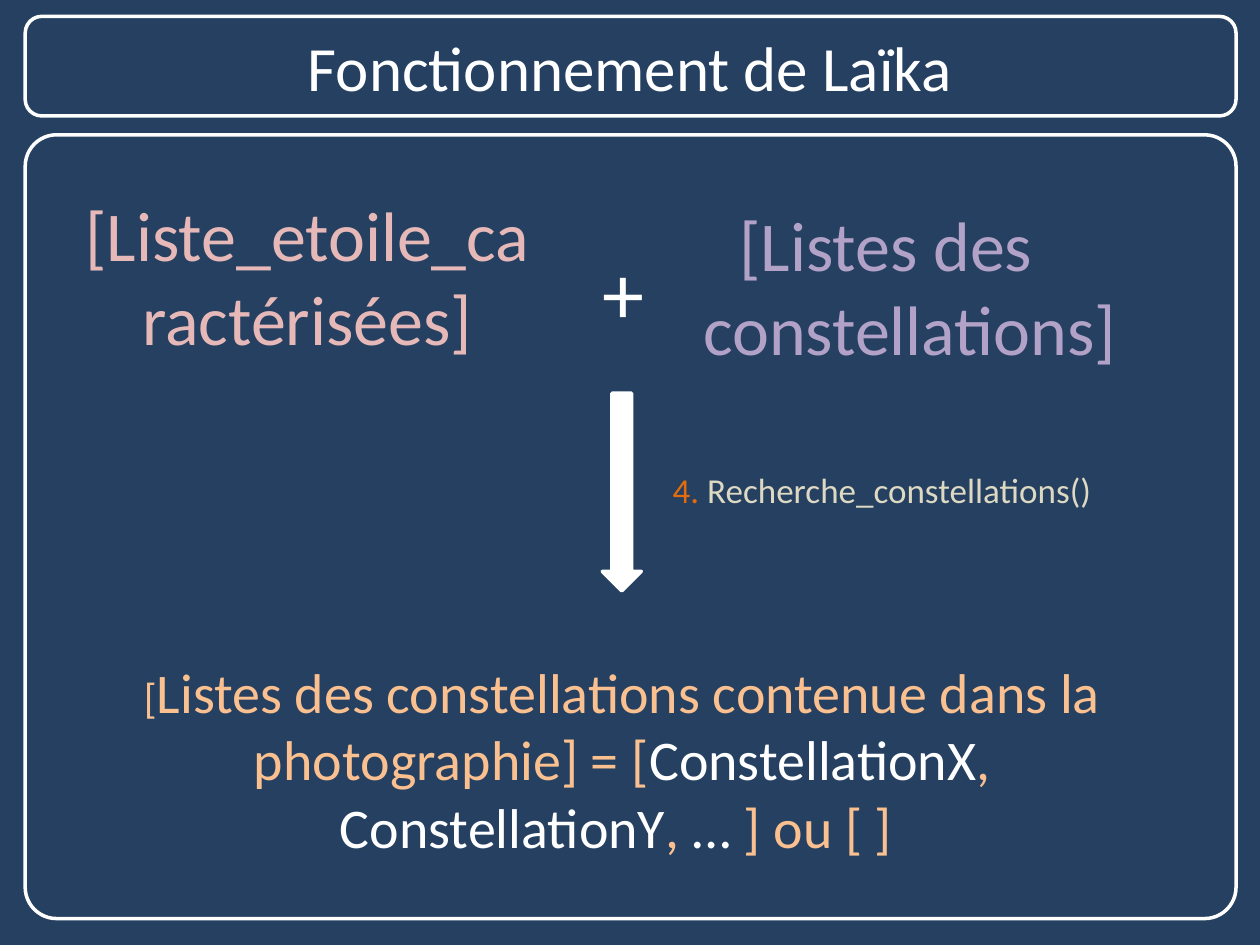
"""Build the slide that explains how Laïka finds constellations."""
from dataclasses import dataclass

import pptx
import pptx.dml.color
import pptx.enum.shapes
import pptx.enum.text
import pptx.util

Inches = pptx.util.Inches
ALIGN = pptx.enum.text.PP_ALIGN
ANCHOR = pptx.enum.text.MSO_ANCHOR
SHAPE = pptx.enum.shapes.MSO_SHAPE
WHITE = "FFFFFF"
PEACH = "FAC090"


@dataclass(frozen=True)
class Box:
    left: float
    top: float
    width: float
    height: float

    def lengths(self) -> list[pptx.util.Length]:
        return [Inches(side) for side in (self.left, self.top, self.width, self.height)]


@dataclass(frozen=True)
class Run:
    text: str
    size: float
    color: str = WHITE


def rgb(color: str) -> pptx.dml.color.RGBColor:
    return pptx.dml.color.RGBColor.from_string(color)


def add_text(slide, box: Box, *runs: Run, align=ALIGN.CENTER, anchor=ANCHOR.TOP, hanging: float = 0):
    shape = slide.shapes.add_textbox(*box.lengths())
    frame = shape.text_frame
    frame.word_wrap = True
    frame.vertical_anchor = anchor
    paragraph = frame.paragraphs[0]
    paragraph.alignment = align
    if hanging:
        properties = paragraph._p.get_or_add_pPr()
        properties.set("marL", str(Inches(hanging)))
        properties.set("indent", str(-Inches(hanging)))
    for item in runs:
        run = paragraph.add_run()
        run.text = item.text
        run.font.name = "Calibri"
        run.font.size = pptx.util.Pt(item.size)
        run.font.color.rgb = rgb(item.color)
    return shape


def add_outlined(slide, kind, box: Box, fill: str | None = None):
    shape = slide.shapes.add_shape(kind, *box.lengths())
    shape.shadow.inherit = False
    if fill:
        shape.fill.solid()
        shape.fill.fore_color.rgb = rgb(fill)
    else:
        shape.fill.background()
    shape.line.color.rgb = rgb(WHITE)
    shape.line.width = pptx.util.Pt(2)
    return shape


def main() -> None:
    presentation = pptx.Presentation()
    presentation.slide_width = Inches(10)
    presentation.slide_height = Inches(7.5)
    slide = presentation.slides.add_slide(presentation.slide_layouts[6])
    slide.background.fill.solid()
    slide.background.fill.fore_color.rgb = rgb("254061")

    add_text(slide, Box(4.67, 1.86, 0.55, 0.91), Run("+", 48))
    add_text(
        slide,
        Box(0.67, 5.17, 8.54, 1.72),
        Run("[", 24, PEACH),
        Run("Listes des constellations contenue dans la photographie] = [", 32, PEACH),
        Run("ConstellationX", 32),
        Run(", ", 32, PEACH),
        Run("ConstellationY", 32),
        Run(", ", 32, PEACH),
        Run("…", 32),
        Run(" ] ou [ ] ", 32, PEACH),
    )
    add_text(
        slide,
        Box(5.24, 3.67, 3.62, 0.44),
        Run("4. ", 20, "E46C0A"),
        Run("Recherche_constellations()", 20, "DDD9C3"),
        align=ALIGN.LEFT,
    )
    add_text(slide, Box(0.51, 1.47, 3.86, 1.45), Run("[Liste_etoile_caractérisées]", 40, "E6B9B8"))
    add_text(
        slide,
        Box(5.08, 1.55, 3.9, 0.47),
        Run("[Listes des constellations]", 40, "B3A2C7"),
        hanging=0.38,
    )
    add_outlined(slide, SHAPE.DOWN_ARROW, Box(4.78, 3.12, 0.31, 1.57), fill=WHITE)
    content_frame = add_outlined(slide, SHAPE.ROUNDED_RECTANGLE, Box(0.2, 1.07, 9.61, 6.22))
    content_frame.adjustments[0] = 0.04
    add_text(slide, Box(0, 0.05, 10, 0.96), Run("Fonctionnement de Laïka", 36), anchor=ANCHOR.MIDDLE)
    add_outlined(slide, SHAPE.ROUNDED_RECTANGLE, Box(0.2, 0.13, 9.61, 0.79))

    presentation.save("out.pptx")


if __name__ == "__main__":
    main()
